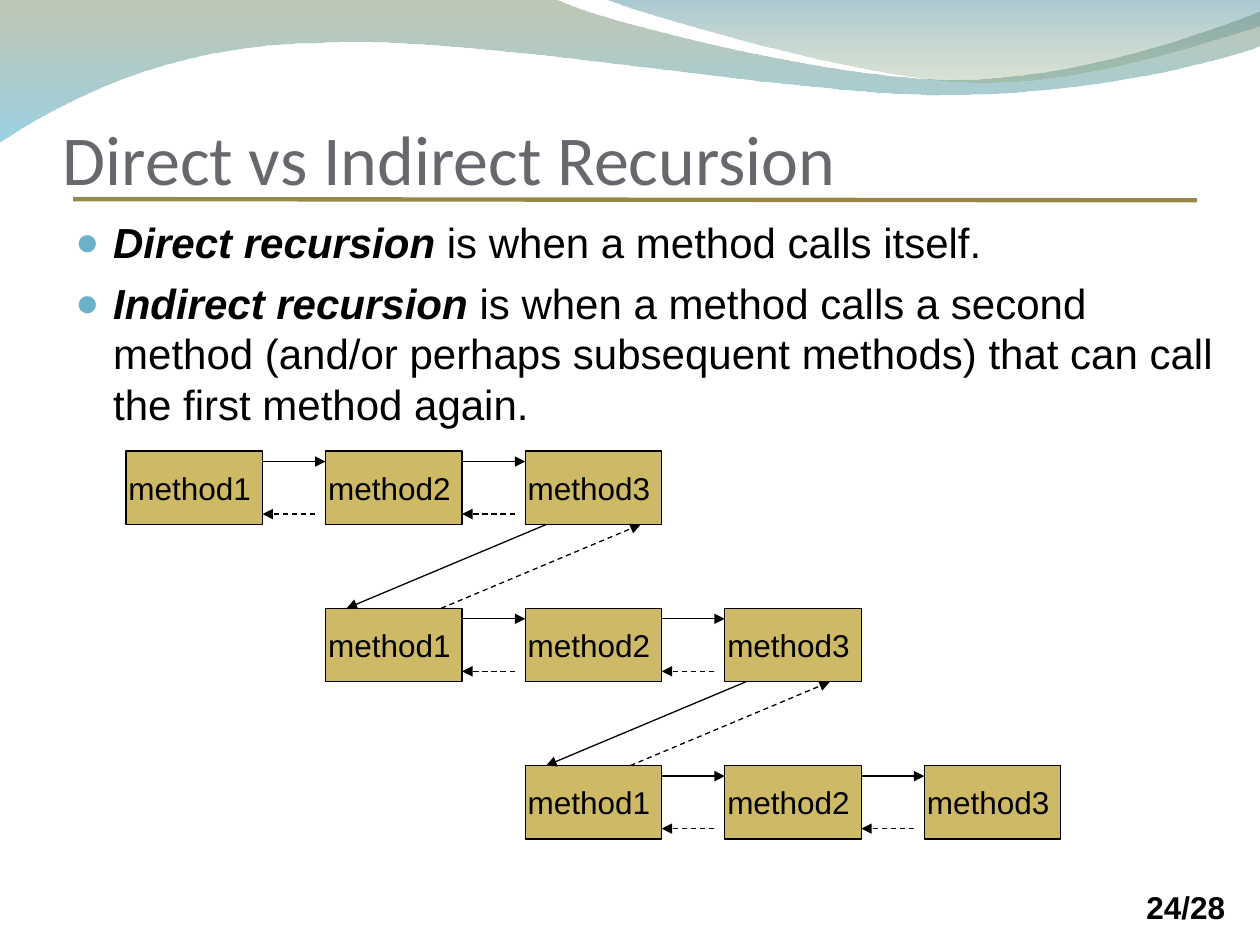
from dataclasses import dataclass

from lxml import etree
from pptx import Presentation
from pptx import util as u
from pptx.dml.color import RGBColor
from pptx.enum import dml, shapes, text
from pptx.oxml.ns import qn


@dataclass(frozen=True)
class Theme:
    """Colours, fonts and type sizes of the slide."""
    ink: str = "000000"
    heading: str = "69676D"
    rule: str = "988848"
    bullet: str = "6BB1C9"
    method: str = "CEB966"
    heading_font: str = "Calibri"
    body_font: str = "Arial"
    heading_size: int = 40
    body_size: int = 24
    label_size: int = 18
    thin: float = 0.75
    thick: float = 2.5


THEME = Theme()
LOWER_WAVE = ((0, -0.01), [
    [(4.4, -0.01)],
    [(4.76, 0.17), (6.64, 0.63), (7.58, 0.63)],
    [(8.53, 0.63), (9.58, 0.26), (10, 0.09)],
    [(10.01, 0.36)],
    [(9.83, 0.44), (8.7, 0.76), (7.46, 0.75)],
    [(6.22, 0.75), (3.82, 0.28), (2.57, 0.34)],
    [(1.29, 0.35), (0.46, 0.83), (-0.01, 1.13)],
])
UPPER_WAVE = ((4.79, -0.01), [
    [(5.09, 0.11), (6.82, 0.62), (7.69, 0.65)],
    [(8.56, 0.69), (9.61, 0.32), (10, 0.21)],
    [(10, 0)],
])
POINTS = [
    ("Direct recursion", " is when a method calls itself."),
    ("Indirect recursion", " is when a method calls a second method (and/or perhaps "
     "subsequent methods) that can call the first method again."),
]


def rgb(colour):
    """Return a colour object for a hex string."""
    return RGBColor.from_string(colour)


def add_run(paragraph, words, size=THEME.body_size, font=THEME.body_font,
            colour=THEME.ink, bold=False, italic=False):
    """Append formatted words to a paragraph."""
    run = paragraph.add_run()
    run.text = words
    run.font.size = u.Pt(size)
    run.font.name = font
    run.font.color.rgb = rgb(colour)
    run.font.bold = bold
    run.font.italic = italic


def add_frame(slide, box, insets=(0.1, 0.05, 0.1, 0.05), anchor=text.MSO_ANCHOR.TOP):
    """Add an empty wrapping text box and return its text frame."""
    frame = slide.shapes.add_textbox(*map(u.Inches, box)).text_frame
    frame.word_wrap = True
    frame.vertical_anchor = anchor
    (frame.margin_left, frame.margin_top,
     frame.margin_right, frame.margin_bottom) = map(u.Inches, insets)
    return frame


def add_line(slide, start, end, colour=THEME.ink, width=THEME.thin, arrow=True, dashed=False):
    """Draw a straight line, by default with an arrowhead at its end."""
    line = slide.shapes.add_connector(
        shapes.MSO_CONNECTOR.STRAIGHT, *map(u.Inches, (*start, *end)))
    line.line.color.rgb = rgb(colour)
    line.line.width = u.Pt(width)
    if dashed:
        line.line.dash_style = dml.MSO_LINE.DASH
    if arrow:
        etree.SubElement(line.line._get_or_add_ln(), qn("a:tailEnd"), type="triangle")
    etree.SubElement(line._element.spPr, qn("a:effectLst"))


def bend_segments(outline, segments):
    """Turn each run of three straight steps into one cubic curve."""
    steps = iter(outline._element.findall(".//" + qn("a:lnTo")))
    for segment in segments:
        group = [next(steps) for _ in segment]
        if len(group) == 3:
            curve = etree.Element(qn("a:cubicBezTo"))
            group[0].addprevious(curve)
            for step in group:
                curve.append(step[0])
                step.getparent().remove(step)


def add_wave(slide, start, segments, stops):
    """Draw a translucent wave with a top-to-bottom gradient."""
    corners = [tuple(map(u.Inches, point)) for segment in segments for point in segment]
    builder = slide.shapes.build_freeform(*map(u.Inches, start))
    builder.add_line_segments(corners, close=True)
    wave = builder.convert_to_shape()
    bend_segments(wave, segments)
    wave.shadow.inherit = False
    wave.line.fill.background()
    wave.fill.gradient()
    wave.fill.gradient_angle = 270
    for stop, (colour, opacity) in zip(wave.fill.gradient_stops, stops):
        stop.color.rgb = rgb(colour)
        tint = stop._gs.find(qn("a:srgbClr"))
        etree.SubElement(tint, qn("a:alpha"), val=str(opacity * 1000))


def add_heading(slide, box):
    """Place the slide title at the bottom of its box."""
    frame = add_frame(slide, box, (0, 0.05, 0, 0), text.MSO_ANCHOR.BOTTOM)
    add_run(frame.paragraphs[0], "Direct vs Indirect Recursion",
            size=THEME.heading_size, font=THEME.heading_font, colour=THEME.heading)


def add_definitions(slide, box):
    """Place the bulleted definitions."""
    frame = add_frame(slide, box)
    for index, (term, meaning) in enumerate(POINTS):
        paragraph = frame.add_paragraph() if index else frame.paragraphs[0]
        properties = paragraph._p.get_or_add_pPr()
        properties.set("marL", str(u.Inches(0.3)))
        properties.set("indent", str(u.Inches(-0.3)))
        tint = etree.SubElement(properties, qn("a:buClr"))
        etree.SubElement(tint, qn("a:srgbClr"), val=THEME.bullet)
        etree.SubElement(properties, qn("a:buSzPct"), val="95000")
        etree.SubElement(properties, qn("a:buFont"), typeface=THEME.body_font)
        etree.SubElement(properties, qn("a:buChar"), char="●")
        if index:
            paragraph.space_before = u.Pt(6)
        add_run(paragraph, term, bold=True, italic=True)
        add_run(paragraph, meaning)


def add_method(slide, box, name):
    """Draw one method box with its name."""
    method = slide.shapes.add_shape(shapes.MSO_SHAPE.RECTANGLE, *map(u.Inches, box))
    method.shadow.inherit = False
    method.fill.solid()
    method.fill.fore_color.rgb = rgb(THEME.method)
    method.line.color.rgb = rgb(THEME.ink)
    method.line.width = u.Pt(THEME.thin)
    frame = method.text_frame
    frame.word_wrap = False
    frame.vertical_anchor = text.MSO_ANCHOR.MIDDLE
    frame.margin_left = u.Inches(0.02)
    frame.margin_right = frame.margin_top = frame.margin_bottom = 0
    frame.paragraphs[0].alignment = text.PP_ALIGN.LEFT
    add_run(frame.paragraphs[0], name, size=THEME.label_size)


def add_call_chain(slide, box, rows=3, methods=3):
    """Draw staggered rows of methods with their calls and returns."""
    left, top, width, height = box
    unit = 1 / 12
    method_width, method_height = 13 * unit, 7 * unit
    across = (width - method_width) / (rows + methods - 2)
    down = (height - method_height) / (rows - 1)
    for row in range(rows):
        y = top + row * down
        for column in range(methods):
            x = left + (row + column) * across
            add_method(slide, (x, y, method_width, method_height), f"method{column + 1}")
            if column:
                caller = x - across + method_width
                add_line(slide, (caller, y + unit), (x, y + unit))
                add_line(slide, (x - unit, y + 6 * unit), (caller, y + 6 * unit), dashed=True)
        if row:
            first = left + row * across
            last = left + (row + methods - 2) * across
            bottom = y - down + method_height
            back = (12 - row) * unit
            add_line(slide, (last + 2 * unit, bottom), (first + 2 * unit, y))
            add_line(slide, (first + back, y), (last + back, bottom), dashed=True)


def add_page_number(slide, box):
    """Place the page count."""
    add_run(add_frame(slide, box).paragraphs[0], "24/28", size=THEME.label_size, bold=True)


def main():
    """Build and save the slide."""
    deck = Presentation()
    deck.slide_width, deck.slide_height = u.Inches(10), u.Inches(7.5)
    slide = deck.slides.add_slide(deck.slide_layouts[6])
    add_wave(slide, *LOWER_WAVE, [("72845C", 45), ("49ACCD", 55)])
    add_wave(slide, *UPPER_WAVE, [("42869E", 45), ("8AA26C", 30)])
    add_line(slide, (0.58, 1.58), (9.5, 1.59), THEME.rule, THEME.thick, arrow=False)
    add_page_number(slide, (9, 7, 0.92, 0.4))
    add_heading(slide, (0.5, 0.33, 9, 1.25))
    add_definitions(slide, (0.5, 1.67, 9.33, 5.33))
    add_call_chain(slide, (1, 3.58, 7.42, 3.08))
    deck.save("out.pptx")


if __name__ == "__main__":
    main()
